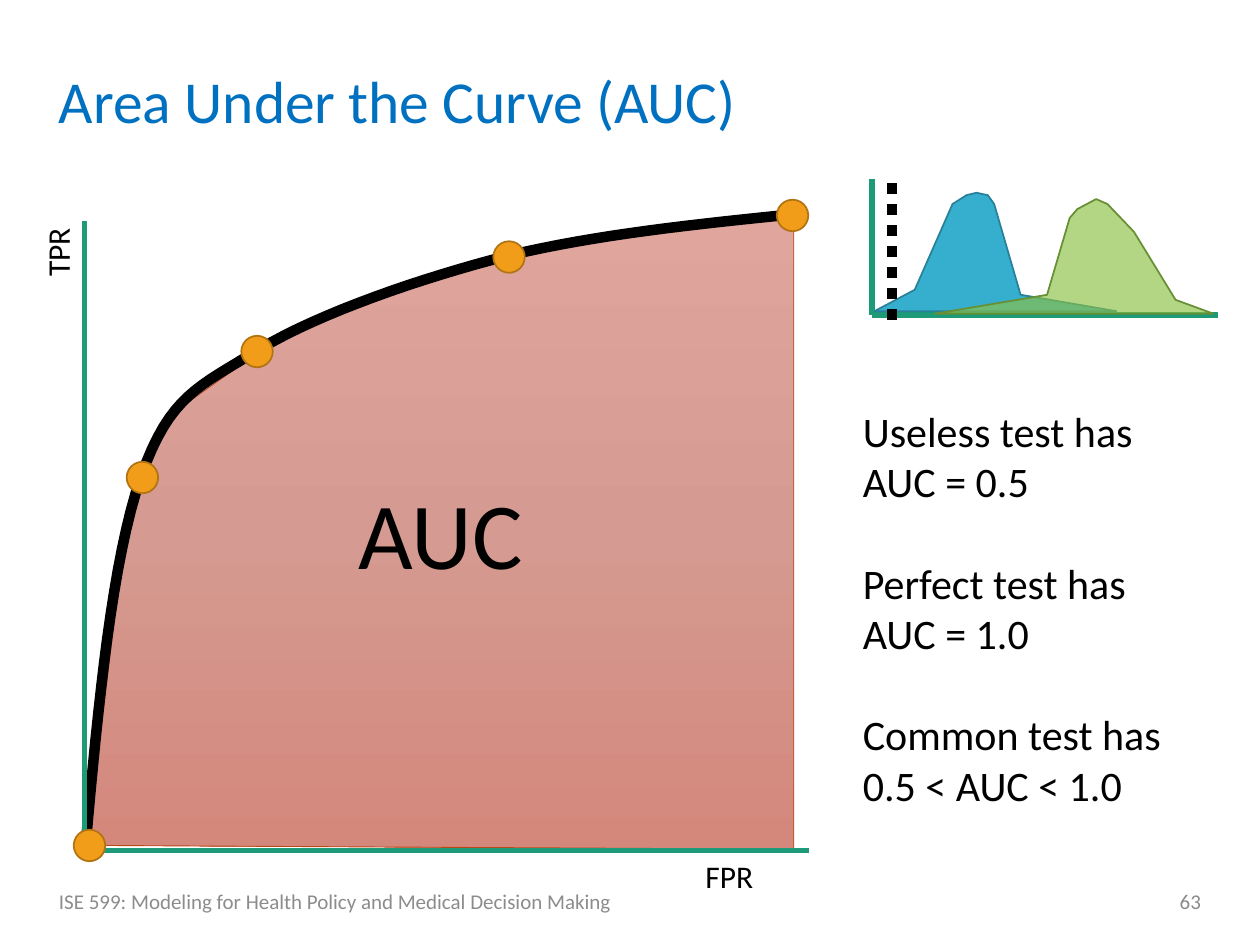
from copy import deepcopy

from lxml.etree import SubElement
from pptx import Presentation
from pptx.dml.color import RGBColor
from pptx.enum.dml import MSO_LINE
from pptx.enum.shapes import MSO_CONNECTOR, MSO_SHAPE
from pptx.enum.text import MSO_ANCHOR, MSO_AUTO_SIZE, PP_ALIGN
from pptx.oxml.ns import qn
from pptx.util import Inches, Pt

COLORS = {
    "title": "0070C0", "text": "000000", "footer": "8C8C8C",
    "axis": "1D9A78", "curve": "000000", "area_line": "B74919",
    "healthy": "36AFCE", "healthy_line": "288198",
    "sick": "8BC145", "sick_line": "678F33",
    "dot": "F19D19", "dot_line": "B27412",
    "area_top": "E0A69E", "area_middle": "D59A91", "area_bottom": "D4887C",
}
AREA_STOPS = [(0, "area_top"), (0.5, "area_middle"), (1, "area_bottom")]

AREA = [(0.69, 6.71), (0.99, 4.24), (1.15, 3.77), (1.34, 3.3), (2.02, 2.82),
        (2.62, 2.48), (3.38, 2.24), (4.03, 2.03), (5.21, 1.83), (6.3, 1.7),
        (6.3, 6.74)]
ROC_START = (0.68, 6.71)
ROC_CURVES = [
    [(0.78, 5.58), (0.89, 4.44), (1.12, 3.78)],
    [(1.35, 3.13), (1.58, 3.07), (2.06, 2.77)],
    [(2.55, 2.48), (3.33, 2.21), (4.03, 2.03)],
    [(4.74, 1.86), (5.52, 1.78), (6.3, 1.7)],
]
HEALTHY = [(6.94, 2.47), (7.26, 2.3), (7.56, 1.62), (7.67, 1.55), (7.75, 1.53),
           (7.84, 1.55), (7.89, 1.62), (8.1, 2.34), (8.86, 2.47)]
SICK = [(7.42, 2.49), (8.31, 2.34), (8.49, 1.73), (8.55, 1.66), (8.7, 1.58),
        (8.79, 1.62), (9, 1.84), (9.33, 2.38), (9.63, 2.49)]
DOTS = [(0.71, 6.71), (1.13, 3.79), (2.04, 2.79), (4.04, 2.04), (6.29, 1.71)]
DOT_SIZE = 0.25
NOTES = [
    ("Useless test has", "AUC = 0.5"),
    ("Perfect test has", "AUC = 1.0"),
    ("Common test has", "0.5 < AUC < 1.0"),
]


def rgb(name):
    return RGBColor.from_string(COLORS[name])


def apply(obj, values):
    for key, value in values.items():
        setattr(obj, key, value)


def bezier_points(start, curves, steps=16):
    """Return points along a chain of cubic Bezier segments."""
    points = [start]
    for c1, c2, end in curves:
        p0 = points[-1]
        for i in range(1, steps + 1):
            t = i / steps
            u = 1 - t
            weights = (u ** 3, 3 * u * u * t, 3 * u * t * t, t ** 3)
            points.append(tuple(
                sum(w * p[axis] for w, p in zip(weights, (p0, c1, c2, end)))
                for axis in (0, 1)))
    return points


class SlideBuilder:
    """Holds the text style and the slide being drawn."""

    font = "Calibri"

    def __init__(self, slide):
        self.slide = slide

    def add_lines(self, tf, lines, size, color, **paragraph_format):
        for i, line in enumerate(lines):
            p = tf.paragraphs[0] if i == 0 else tf.add_paragraph()
            apply(p, paragraph_format)
            r = p.add_run()
            r.text = line
            apply(r.font, {"name": self.font, "size": Pt(size)})
            r.font.color.rgb = rgb(color)

    def text(self, box, lines, size, color="text", frame=None, rotation=0,
             **paragraph_format):
        sp = self.slide.shapes.add_textbox(*map(Inches, box))
        sp.rotation = rotation
        tf = sp.text_frame
        apply(tf, frame or {"word_wrap": True,
                            "vertical_anchor": MSO_ANCHOR.MIDDLE})
        self.add_lines(tf, lines, size, color, **paragraph_format)
        return tf

    def label(self, box, lines, size, rotation=0):
        """Add a text box that fits its unwrapped text."""
        frame = {"word_wrap": False,
                 "auto_size": MSO_AUTO_SIZE.SHAPE_TO_FIT_TEXT}
        return self.text(box, lines, size, frame=frame, rotation=rotation)

    def paint(self, sp, fill, line, width):
        sp.shadow.inherit = False
        if fill:
            sp.fill.solid()
            sp.fill.fore_color.rgb = rgb(fill)
        else:
            sp.fill.background()
        sp.line.color.rgb = rgb(line)
        sp.line.width = Pt(width)

    def outline(self, points, line, width, fill=None, close=True):
        points = [(Inches(x), Inches(y)) for x, y in points]
        builder = self.slide.shapes.build_freeform(*points[0])
        builder.add_line_segments(points[1:], close=close)
        sp = builder.convert_to_shape()
        self.paint(sp, fill, line, width)
        return sp

    def gradient(self, sp, stops):
        """Fill from top to bottom with three colour stops."""
        sp.fill.gradient()
        sp.fill.gradient_angle = 270
        first = sp._element.spPr.find(".//" + qn("a:gs"))
        first.addnext(deepcopy(first))
        for stop, (position, color) in zip(sp.fill.gradient_stops, stops):
            stop.position = position
            stop.color.rgb = rgb(color)

    def transparency(self, sp, opacity):
        color = sp._element.spPr.find(qn("a:solidFill"))[0]
        SubElement(color, qn("a:alpha"), val=str(opacity * 1000))

    def line(self, start, end, color, width, dash=None):
        s = self.slide.shapes.add_connector(
            MSO_CONNECTOR.STRAIGHT, *map(Inches, start + end))
        s.line.color.rgb = rgb(color)
        apply(s.line, {"width": Pt(width), "dash_style": dash})
        SubElement(s._element.spPr, qn("a:effectLst"))

    def axes(self, top, origin, right):
        x, y = origin
        self.line((x, top), origin, "axis", 3)
        self.line(origin, (right, y), "axis", 3)

    def dot(self, x, y):
        sp = self.slide.shapes.add_shape(
            MSO_SHAPE.OVAL, Inches(x - DOT_SIZE / 2), Inches(y - DOT_SIZE / 2),
            Inches(DOT_SIZE), Inches(DOT_SIZE))
        self.paint(sp, "dot", "dot_line", 1)


def main():
    prs = Presentation()
    apply(prs, {"slide_width": Inches(10), "slide_height": Inches(7.5)})
    s = SlideBuilder(prs.slides.add_slide(prs.slide_layouts[6]))

    s.text((0.37, 0.4, 9.26, 0.85), ["Area Under the Curve (AUC)"], 34,
           "title", line_spacing=0.9)
    s.text((0.37, 6.95, 5.67, 0.4),
           ["ISE 599: Modeling for Health Policy and Medical Decision Making"],
           12, "footer")
    s.text((7.21, 6.95, 2.42, 0.4), ["63"], 12, "footer",
           alignment=PP_ALIGN.RIGHT)

    area = s.outline(AREA, "area_line", 0.5)
    s.gradient(area, AREA_STOPS)
    area.text_frame.vertical_anchor = MSO_ANCHOR.MIDDLE
    s.add_lines(area.text_frame, ["AUC"], 54, "text",
                alignment=PP_ALIGN.CENTER)
    s.outline(bezier_points(ROC_START, ROC_CURVES), "curve", 6, close=False)
    s.axes(1.75, (0.67, 6.75), 6.42)
    s.label((0.16, 1.8, 0.59, 0.4), ["TPR"], 18, rotation=270)
    s.label((5.5, 6.75, 0.58, 0.4), ["FPR"], 18)

    s.axes(1.42, (6.92, 2.5), 9.67)
    s.outline(HEALTHY, "healthy_line", 1, "healthy")
    sick = s.outline(SICK, "sick_line", 1, "sick")
    s.transparency(sick, 65)
    s.line((7.08, 2.54), (7.08, 1.42), "curve", 6, MSO_LINE.ROUND_DOT)

    for x, y in DOTS:
        s.dot(x, y)

    tf = s.label((6.75, 3.17, 2.66, 3.33),
                 [line for note in NOTES for line in note], 24)
    for p in tf.paragraphs[2::2]:
        p.space_before = Pt(29)

    prs.save("out.pptx")


if __name__ == "__main__":
    main()
